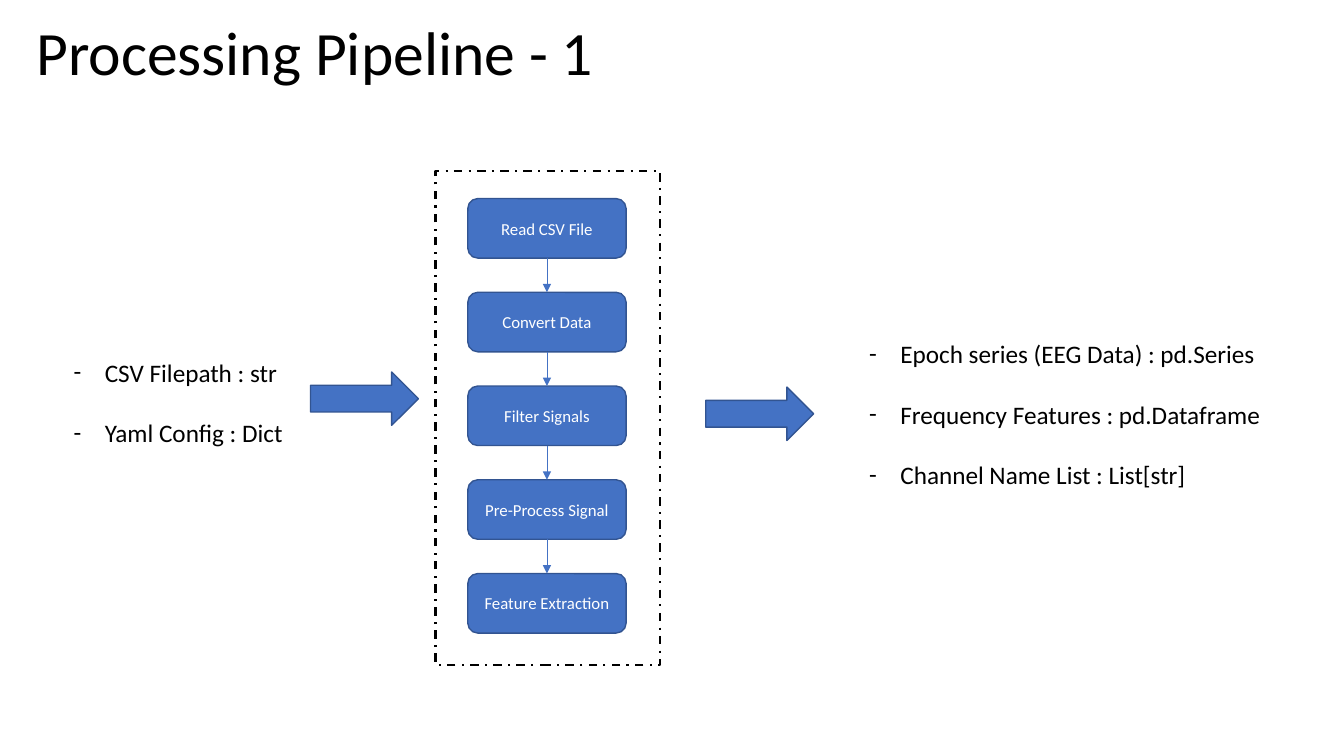
"""Build the processing pipeline slide."""
from lxml.etree import SubElement
from pptx import Presentation
from pptx.dml.color import RGBColor
from pptx.enum.dml import MSO_LINE_DASH_STYLE as Dash
from pptx.enum.shapes import MSO_CONNECTOR as Connector, MSO_SHAPE as Shape
from pptx.enum.text import MSO_ANCHOR as Anchor, MSO_AUTO_SIZE as AutoSize, PP_ALIGN as Align
from pptx.oxml.ns import qn
from pptx.util import Inches, Pt

BLACK = RGBColor(0x00, 0x00, 0x00)
WHITE = RGBColor(0xFF, 0xFF, 0xFF)
BLUE = RGBColor(0x44, 0x72, 0xC4)
DARK_BLUE = RGBColor(0x32, 0x54, 0x91)

STEPS = ["Read CSV File", "Convert Data", "Filter Signals", "Pre-Process Signal", "Feature Extraction"]
STEP_TOP, STEP_PITCH = 1.97, 0.93
INPUTS = ["CSV Filepath : str", "Yaml Config : Dict"]
OUTPUTS = [
    "Epoch series (EEG Data) : pd.Series",
    "Frequency Features : pd.Dataframe",
    "Channel Name List : List[str]",
]
FRAME_FORMAT = {"auto_size": AutoSize.NONE, "word_wrap": True}
TITLE_FORMAT = {"alignment": Align.LEFT, "line_spacing": 0.9}
STEP_FORMAT = {"alignment": Align.CENTER}
LIST_FORMAT = {
    "alignment": Align.LEFT,
    "line_spacing": 1.0,
    "space_before": Pt(0),
    "space_after": Pt(21.6),
}


def apply_format(target, values):
    for name, value in values.items():
        setattr(target, name, value)


def write_text(shape, lines, size, color, anchor, paragraph_format):
    frame = shape.text_frame
    frame.text = "\n".join(lines)
    apply_format(frame, {**FRAME_FORMAT, "vertical_anchor": anchor})
    for paragraph in frame.paragraphs:
        apply_format(paragraph, paragraph_format)
        for run in paragraph.runs:
            apply_format(run.font, {"name": "Calibri", "size": Pt(size), "bold": False})
            run.font.color.rgb = color


def place(shape, left, top, width, height):
    box = {"left": left, "top": top, "width": width, "height": height}
    apply_format(shape, {name: Inches(value) for name, value in box.items()})


def fill_list(placeholder, box, lines):
    place(placeholder, *box)
    write_text(placeholder, lines, 18, BLACK, Anchor.TOP, LIST_FORMAT)
    placeholder.text_frame.margin_right = Inches(0)
    for paragraph in placeholder.text_frame.paragraphs:
        properties = paragraph._p.get_or_add_pPr()
        properties.set("marL", str(Inches(0.31)))
        properties.set("indent", str(Inches(-0.31)))
        SubElement(properties, qn("a:buFont"), typeface="Calibri")
        SubElement(properties, qn("a:buChar"), char="-")


def add_block(shapes, kind, box, fill=BLUE, line=DARK_BLUE, width=1):
    block = shapes.add_shape(kind, *map(Inches, box))
    block.shadow.inherit = False
    if fill is None:
        block.fill.background()
    else:
        block.fill.solid()
        block.fill.fore_color.rgb = fill
    block.line.color.rgb = line
    block.line.width = Pt(width)
    return block


def add_step(shapes, index, label):
    step = add_block(shapes, Shape.ROUNDED_RECTANGLE, (4.64, STEP_TOP + index * STEP_PITCH, 1.57, 0.59))
    write_text(step, [label], 12, WHITE, Anchor.MIDDLE, STEP_FORMAT)
    return step


def join_steps(shapes, upper, lower):
    connector = shapes.add_connector(Connector.STRAIGHT, 0, 0, 0, 0)
    connector.begin_connect(upper, 2)
    connector.end_connect(lower, 0)
    connector.line.color.rgb = BLUE
    connector.line.width = Pt(0.5)
    properties = connector.element.spPr
    SubElement(properties.find(qn("a:ln")), qn("a:tailEnd"), type="triangle")
    SubElement(properties, qn("a:effectLst"))


def add_pipeline(slide):
    shapes = slide.shapes.add_group_shape().shapes
    steps = [add_step(shapes, index, label) for index, label in enumerate(STEPS)]
    border = add_block(shapes, Shape.RECTANGLE, (4.32, 1.7, 2.23, 4.9), None, BLACK, 1.5)
    border.line.dash_style = Dash.DASH_DOT
    for upper, lower in zip(steps, steps[1:]):
        join_steps(shapes, upper, lower)


def main():
    presentation = Presentation()
    presentation.slide_width = Inches(13.33)
    presentation.slide_height = Inches(7.5)
    slide = presentation.slides.add_slide(presentation.slide_layouts[3])
    title, inputs, outputs = list(slide.placeholders)[:3]
    place(title, 0.26, 0.17, 11.96, 0.77)
    write_text(title, ["Processing Pipeline - 1"], 44, BLACK, Anchor.MIDDLE, TITLE_FORMAT)
    add_pipeline(slide)
    fill_list(inputs, (0.63, 3.49, 2.31, 1.01), INPUTS)
    for left, top in [(3.08, 3.69), (7, 3.84)]:
        add_block(slide.shapes, Shape.RIGHT_ARROW, (left, top, 1.07, 0.53))
    fill_list(outputs, (8.52, 3.31, 4.13, 1.62), OUTPUTS)
    presentation.save("out.pptx")


if __name__ == "__main__":
    main()
